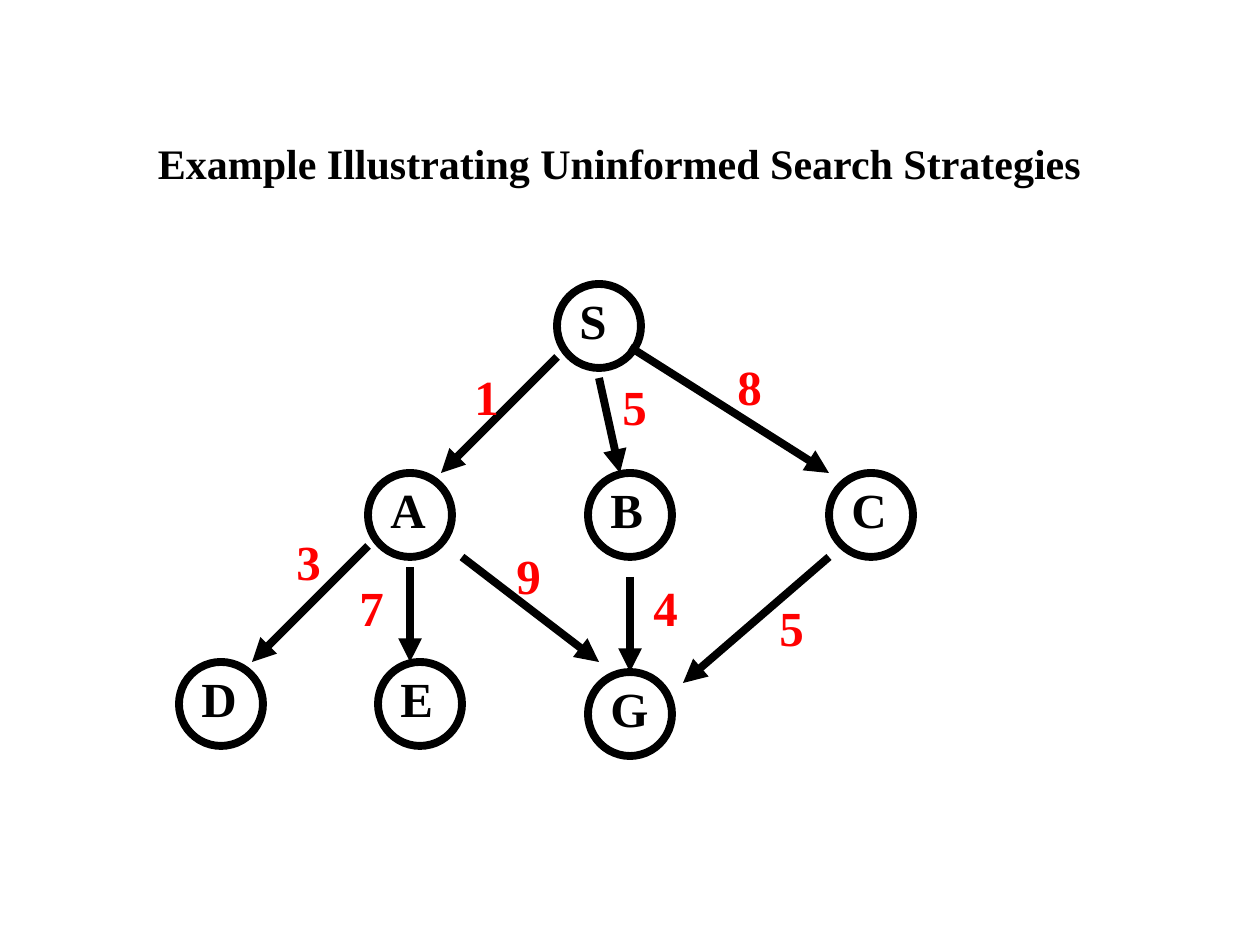
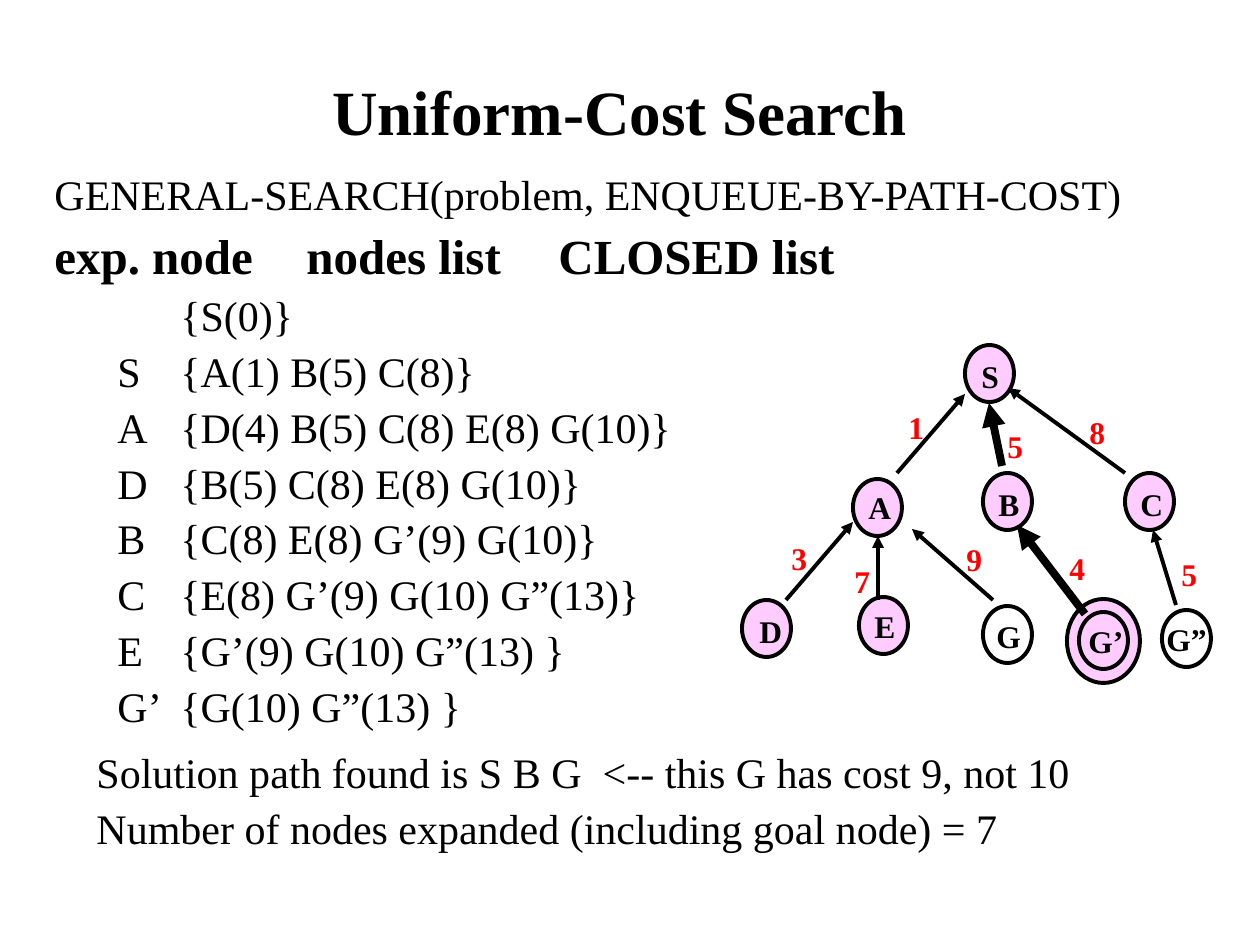
from lxml.etree import SubElement
from pptx import Presentation
from pptx.dml.color import RGBColor
from pptx.enum.shapes import MSO_CONNECTOR as Connector, MSO_SHAPE as Shape
from pptx.enum.text import MSO_ANCHOR as Anchor, PP_ALIGN as Align
from pptx.oxml.ns import qn
from pptx.util import Emu, Pt

PX_PER_INCH = 126
FONT = "Times New Roman"
BLACK, RED, PINK = "000000", "FF0000", "FFCCFF"
TITLE_LEFT, TITLE_WIDTH = 84, 1071

# Advance widths of the bold label glyphs, in em
GLYPH_WIDTHS = {"S": 0.56, "A": 0.72, "B": 0.67, "C": 0.72, "D": 0.72,
                "E": 0.67, "G": 0.78, "’": 0.33, "”": 0.5}
DIGIT_WIDTH = 0.5

# Node: name, left, top, label offset x, label offset y, fill
# Edge: start, end, width in points, cost, cost position
SEARCH_GRAPH = {
    "box": (179, 284), "node_size": (84, 84), "node_line": 4.5, "text_size": 28,
    "rings": [],
    "nodes": [
        ("S", 378, 0, 10, 0, None),
        ("C", 650, 189, 10, 0, None),
        ("B", 409, 189, 10, 0, None),
        ("A", 189, 189, 10, 0, None),
        ("D", 0, 378, 10, 0, None),
        ("G", 409, 388, 10, 0, None),
        ("E", 199, 378, 10, 0, None),
    ],
    "edges": [
        ((378, 73), (262, 189), 4.5, "1", (283, 76)),
        ((231, 283), (231, 378), 4.5, "7", (168, 287)),
        ((283, 273), (420, 378), 4.5, "9", (325, 255)),
        ((420, 94), (441, 189), 4.5, "5", (431, 86)),
        ((451, 63), (650, 189), 4.5, "8", (546, 66)),
        ((451, 293), (451, 388), 4.5, "4", (462, 287)),
        ((650, 273), (504, 399), 4.5, "5", (588, 307)),
        ((189, 262), (73, 378), 4.5, "3", (105, 241)),
    ],
}

SEARCH_TREE = {
    "box": (742, 345), "node_size": (49, 57), "node_line": 2.25, "text_size": 18,
    "rings": [(325, 254, 73, 84)],
    "nodes": [
        ("S", 223, 0, 4, 6, PINK),
        ("C", 383, 128, 3, 6, PINK),
        ("B", 241, 128, 3, 6, PINK),
        ("A", 111, 134, 3, 3, PINK),
        ("D", 0, 255, 5, 6, PINK),
        ("E", 117, 252, 3, 4, PINK),
        ("G", 241, 261, 1, 5, None),
        ("G’", 337, 267, -3, 4, None),
        ("G”", 420, 265, -8, 4, None),
    ],
    "edges": [
        ((155, 128), (223, 49), 2.25, "1", (154, 57)),
        ((136, 255), (136, 191), 2.25, "7", (100, 211)),
        ((251, 255), (170, 184), 2.25, "9", (212, 189)),
        ((260, 121), (247, 58), 4.5, "5", (253, 76)),
        ((383, 128), (266, 43), 2.25, "8", (335, 62)),
        ((44, 255), (111, 177), 2.25, "3", (37, 188)),
        ((343, 269), (275, 180), 4.5, "4", (315, 198)),
        ((434, 260), (411, 185), 2.25, "5", (427, 204)),
    ],
}

# Expanded node, start of the nodes list, nodes list
TRACE = [
    ("", 147, "{S(0)}"),
    ("S", 149, "{A(1) B(5) C(8)}"),
    ("A", 156, "{D(4) B(5) C(8) E(8) G(10)}"),
    ("D", 156, "{B(5) C(8) E(8) G(10)}"),
    ("B", 154, "{C(8) E(8) G’(9) G(10)}"),
    ("C", 154, "{E(8) G’(9) G(10) G”(13)}"),
    ("E", 152, "{G’(9) G(10) G”(13) }"),
    ("G’", 170, "{G(10) G”(13) }"),
]
EXPANDED_NODE_TAB = 63


def px(length):
    return Emu(round(length * 914400 / PX_PER_INCH))


def color(value):
    return RGBColor.from_string(value)


def apply(target, values):
    for name, value in values.items():
        setattr(target, name, value)


def format_font(paragraph, size, bold=False, ink=BLACK):
    apply(paragraph.font, {"name": FONT, "size": Pt(size), "bold": bold})
    paragraph.font.color.rgb = color(ink)


def add_text_box(slide, box, wrap=True, anchor=Anchor.TOP):
    frame = slide.shapes.add_textbox(*map(px, box)).text_frame
    apply(frame, {"word_wrap": wrap, "vertical_anchor": anchor})
    return frame


def add_title(slide, text, top, height, size):
    frame = add_text_box(slide, (TITLE_LEFT, top, TITLE_WIDTH, height), anchor=Anchor.MIDDLE)
    paragraph = frame.paragraphs[0]
    apply(paragraph, {"text": text, "alignment": Align.CENTER})
    format_font(paragraph, size, bold=True)


# Graph parts
def add_label(slide, text, left, top, size, ink=BLACK):
    em = size * PX_PER_INCH / 72
    inset = PX_PER_INCH / 10
    width = em * sum(GLYPH_WIDTHS.get(glyph, DIGIT_WIDTH) for glyph in text) + 2 * inset
    frame = add_text_box(slide, (left, top, width, 1.2 * em + inset), wrap=False)
    frame.text = text
    format_font(frame.paragraphs[0], size, bold=True, ink=ink)


def add_ellipse(slide, box, line_width, fill):
    shape = slide.shapes.add_shape(Shape.OVAL, *map(px, box))
    shape.shadow.inherit = False
    if fill:
        shape.fill.solid()
        shape.fill.fore_color.rgb = color(fill)
    else:
        shape.fill.background()
    shape.line.color.rgb = color(BLACK)
    shape.line.width = Pt(line_width)


def add_arrow(slide, start, end, line_width):
    arrow = slide.shapes.add_connector(Connector.STRAIGHT, *map(px, (*start, *end)))
    arrow.line.color.rgb = color(BLACK)
    arrow.line.width = Pt(line_width)
    SubElement(arrow.line._get_or_add_ln(), qn("a:tailEnd"), type="triangle")
    SubElement(arrow._element.spPr, qn("a:effectLst"))


def add_graph(slide, graph):
    left, top = graph["box"]
    size = graph["text_size"]

    def place(point):
        return left + point[0], top + point[1]

    # Goal rings lie behind the nodes
    for x, y, width, height in graph["rings"]:
        add_ellipse(slide, (*place((x, y)), width, height), graph["node_line"], PINK)
    for name, x, y, label_x, label_y, fill in graph["nodes"]:
        add_ellipse(slide, (*place((x, y)), *graph["node_size"]), graph["node_line"], fill)
        add_label(slide, name, *place((x + label_x, y + label_y)), size)
    for start, end, line_width, cost, cost_point in graph["edges"]:
        add_arrow(slide, place(start), place(end), line_width)
        add_label(slide, cost, *place(cost_point), size, RED)


# Search trace
def add_trace_line(frame, text, tabs=(), margin=0, before=6, size=24, bold=False):
    first = not frame.text
    paragraph = frame.paragraphs[0] if first else frame.add_paragraph()
    paragraph.add_run().text = text
    properties = paragraph._p.get_or_add_pPr()
    properties.set("marL", str(px(margin)))
    properties.set("indent", "0")
    if tabs:
        tab_list = SubElement(properties, qn("a:tabLst"))
        for position in tabs:
            SubElement(tab_list, qn("a:tab"), pos=str(px(position)), algn="l")
    apply(paragraph, {"line_spacing": 0.9, "space_before": Pt(0 if first else before)})
    format_font(paragraph, size, bold)


def add_trace(slide, box):
    frame = add_text_box(slide, box)
    add_trace_line(frame, "GENERAL-SEARCH(problem, ENQUEUE-BY-PATH-COST)")
    add_trace_line(frame, "exp. node\tnodes list\tCLOSED list", tabs=(223, 787),
                   before=7, size=28, bold=True)
    for node, list_tab, nodes_list in TRACE:
        add_trace_line(frame, f"\t{node}\t{nodes_list}", tabs=(EXPANDED_NODE_TAB, list_tab))
    add_trace_line(frame, "Solution path found is S B G  <-- this G has cost 9, not 10",
                   margin=42, before=12)
    add_trace_line(frame, "Number of nodes expanded (including goal node) = 7", margin=42)


# Slides
def build_example_slide(slide):
    add_title(slide, "Example Illustrating Uninformed Search Strategies", 84, 158, 24)
    add_graph(slide, SEARCH_GRAPH)


def build_uniform_cost_slide(slide):
    add_title(slide, "Uniform-Cost Search", 42, 136, 36)
    add_trace(slide, (42, 168, 1177, 735))
    add_graph(slide, SEARCH_TREE)


def main():
    presentation = Presentation()
    presentation.slide_width = px(10 * PX_PER_INCH)
    presentation.slide_height = px(7.5 * PX_PER_INCH)
    blank = presentation.slide_layouts[6]
    for build in (build_example_slide, build_uniform_cost_slide):
        build(presentation.slides.add_slide(blank))
    presentation.save("out.pptx")


if __name__ == "__main__":
    main()
